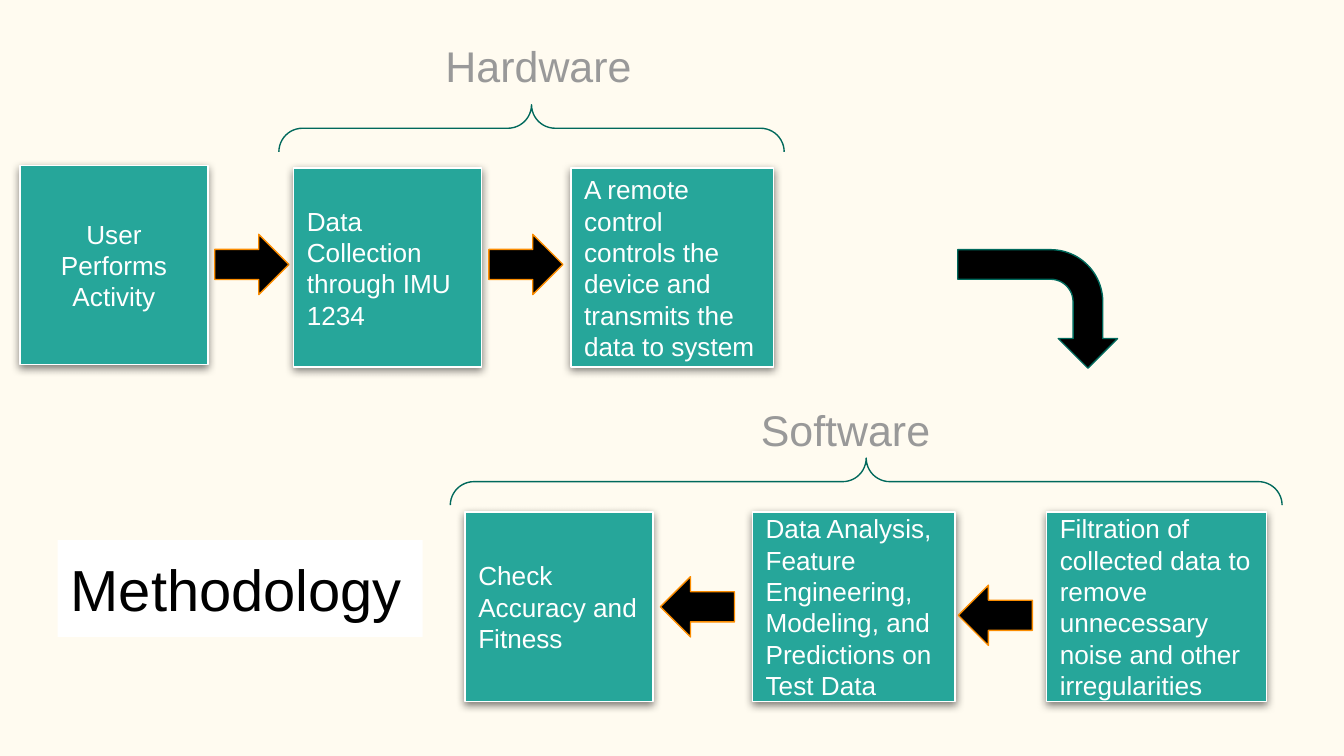
from dataclasses import dataclass

from lxml.etree import SubElement
from pptx import Presentation
from pptx.dml.color import RGBColor
from pptx.enum.shapes import MSO_SHAPE as Preset
from pptx.enum.text import MSO_ANCHOR as Anchor, MSO_AUTO_SIZE as Fit, PP_ALIGN as Align
from pptx.oxml.ns import qn
from pptx.util import Cm, Pt


@dataclass(frozen=True)
class Theme:
    font: str = "Arial"
    cream: RGBColor = RGBColor(0xFF, 0xFB, 0xF0)
    teal: RGBColor = RGBColor(0x26, 0xA6, 0x9A)
    deep_teal: RGBColor = RGBColor(0x00, 0x69, 0x5C)
    orange: RGBColor = RGBColor(0xFB, 0x8C, 0x00)
    grey: RGBColor = RGBColor(0x99, 0x99, 0x99)
    white: RGBColor = RGBColor(0xFF, 0xFF, 0xFF)
    black: RGBColor = RGBColor(0x00, 0x00, 0x00)
    step_size: Pt = Pt(14)
    stage_size: Pt = Pt(23)
    title_size: Pt = Pt(31)
    outline: Pt = Pt(0.75)


THEME = Theme()
ARROW_WIDTH, ARROW_HEIGHT = 1.4, 1.14


def write(shape, text, size, color, align=Align.LEFT, anchor=Anchor.TOP, fit=Fit.NONE):
    frame = shape.text_frame
    frame.word_wrap = True
    frame.auto_size = fit
    frame.vertical_anchor = anchor
    frame.margin_left = frame.margin_right = Cm(0.25)
    frame.margin_top = frame.margin_bottom = Cm(0.25)
    paragraph = frame.paragraphs[0]
    paragraph.text = text
    paragraph.alignment = align
    paragraph.font.name = THEME.font
    paragraph.font.size = size
    paragraph.font.color.rgb = color


def add_preset(slide, preset, box, fill=None, line=None, turn=0, adjustments=()):
    left, top, width, height = box
    if turn == 90:
        left, top = left + (width - height) / 2, top + (height - width) / 2
        width, height = height, width
    shape = slide.shapes.add_shape(preset, Cm(left), Cm(top), Cm(width), Cm(height))
    shape.rotation = turn
    shape.shadow.inherit = False
    for index, value in enumerate(adjustments):
        shape.adjustments[index] = value
    if fill is None:
        shape.fill.background()
    else:
        shape.fill.solid()
        shape.fill.fore_color.rgb = fill
    if line is None:
        shape.line.fill.background()
    else:
        shape.line.color.rgb = line
        shape.line.width = THEME.outline
    return shape


def cast_shadow(shape):
    effects = shape.element.spPr.find(qn("a:effectLst"))
    shadow = SubElement(effects, qn("a:outerShdw"), blurRad=str(Pt(4.5)), dist=str(Pt(1.5)),
                        dir="5400000", algn="bl", rotWithShape="0")
    color = SubElement(shadow, qn("a:srgbClr"), val=str(THEME.black))
    SubElement(color, qn("a:alpha"), val="50000")


def add_step(slide, box, text, align=Align.LEFT):
    step = add_preset(slide, Preset.RECTANGLE, box, THEME.teal, THEME.white)
    cast_shadow(step)
    write(step, text, THEME.step_size, THEME.white, align, Anchor.MIDDLE)


def add_flow_arrow(slide, left, top, turn=0):
    add_preset(slide, Preset.RIGHT_ARROW, (left, top, ARROW_WIDTH, ARROW_HEIGHT),
               THEME.black, THEME.orange, turn)


def add_stage(slide, box, name, name_box, steps, steps_top, arrows, turn=0):
    left, top, width, height = box
    name_left, name_top = name_box
    label = slide.shapes.add_textbox(Cm(name_left), Cm(name_top), Cm(5.23), Cm(1.5))
    write(label, name, THEME.stage_size, THEME.grey, fit=Fit.SHAPE_TO_FIT_TEXT)
    add_preset(slide, Preset.LEFT_BRACE, (left, top, width, 0.89),
               line=THEME.deep_teal, turn=90, adjustments=(0.5, 0.5))
    for step_left, step_width, text in steps:
        add_step(slide, (step_left, steps_top, step_width, top + height - steps_top), text)
    for arrow_left, arrow_top in arrows:
        add_flow_arrow(slide, arrow_left, arrow_top, turn)


def add_turn(slide, box):
    add_preset(slide, Preset.BENT_ARROW, box, THEME.black, THEME.deep_teal, 90,
               (0.25, 0.25, 0.25, 0.44))


def add_title(slide, box, text):
    title = add_preset(slide, Preset.RECTANGLE, box, THEME.white)
    write(title, text, THEME.title_size, THEME.black, fit=Fit.SHAPE_TO_FIT_TEXT)


def main():
    deck = Presentation()
    deck.slide_width, deck.slide_height = Cm(25.4), Cm(14.29)
    slide = deck.slides.add_slide(deck.slide_layouts[6])
    slide.background.fill.solid()
    slide.background.fill.fore_color.rgb = THEME.cream

    add_step(slide, (0.38, 3.13, 3.55, 3.76), "User Performs Activity", Align.CENTER)
    add_flow_arrow(slide, 4.06, 4.43)
    add_stage(
        slide, (5.27, 1.98, 9.55, 4.96), "Hardware", (8.17, 0.5),
        [(5.55, 3.55, "Data Collection through IMU 1234"),
         (10.79, 3.83, "A remote control controls the device and transmits the data to system")],
        3.18, [(9.24, 4.43)])
    add_turn(slide, (18.1, 4.72, 3.02, 2.24))
    add_stage(
        slide, (8.51, 8.66, 15.72, 4.6), "Software", (14.13, 7.38),
        [(19.78, 4.16, "Filtration of collected data to remove unnecessary noise "
                       "and other irregularities"),
         (14.22, 3.83, "Data Analysis, Feature Engineering, Modeling, and "
                       "Predictions on Test Data"),
         (8.79, 3.55, "Check Accuracy and Fitness")],
        9.68, [(18.11, 11.06), (12.48, 10.9)], turn=180)
    add_title(slide, (1.09, 10.21, 6.9, 1.83), "Methodology")
    deck.save("out.pptx")


if __name__ == "__main__":
    main()
